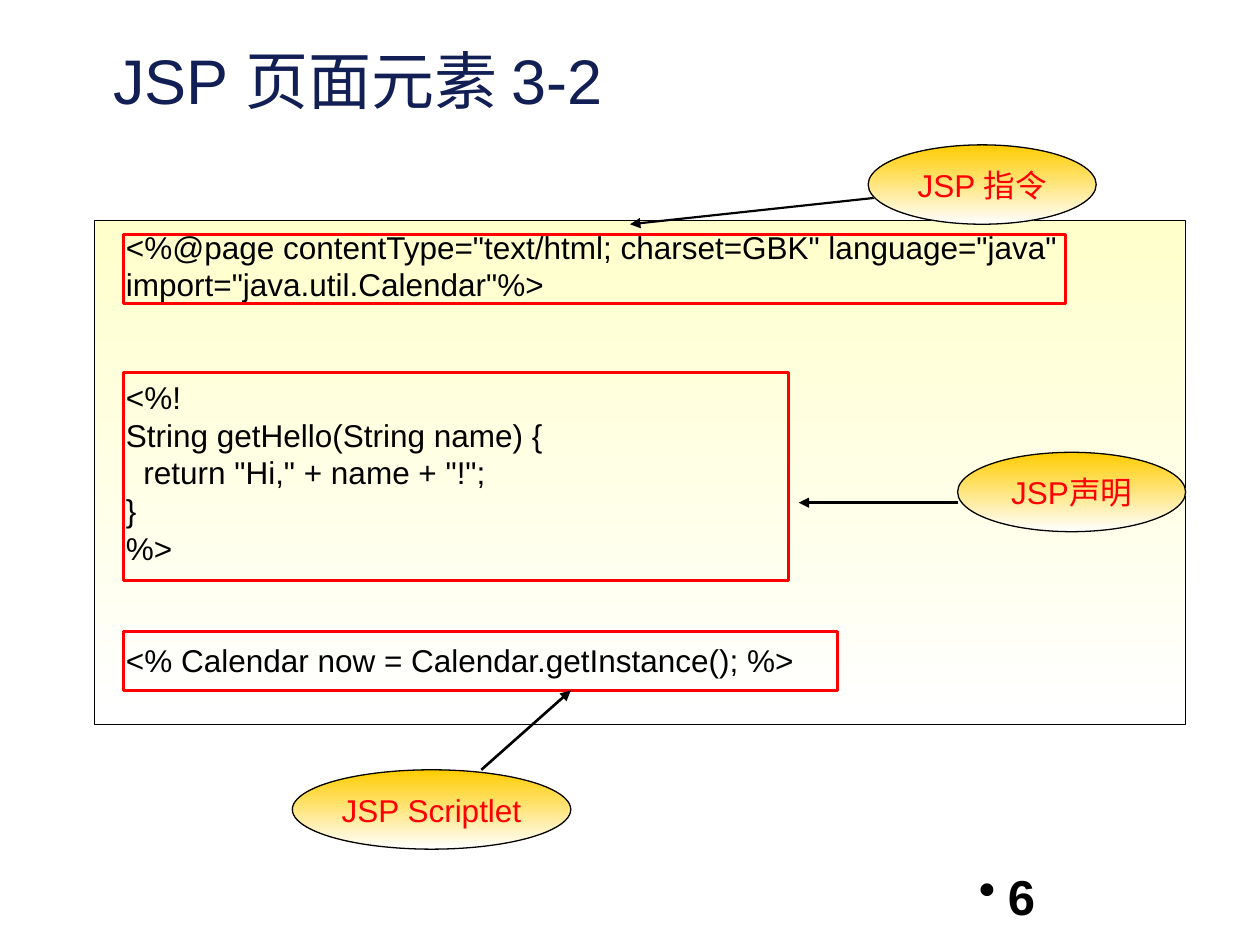
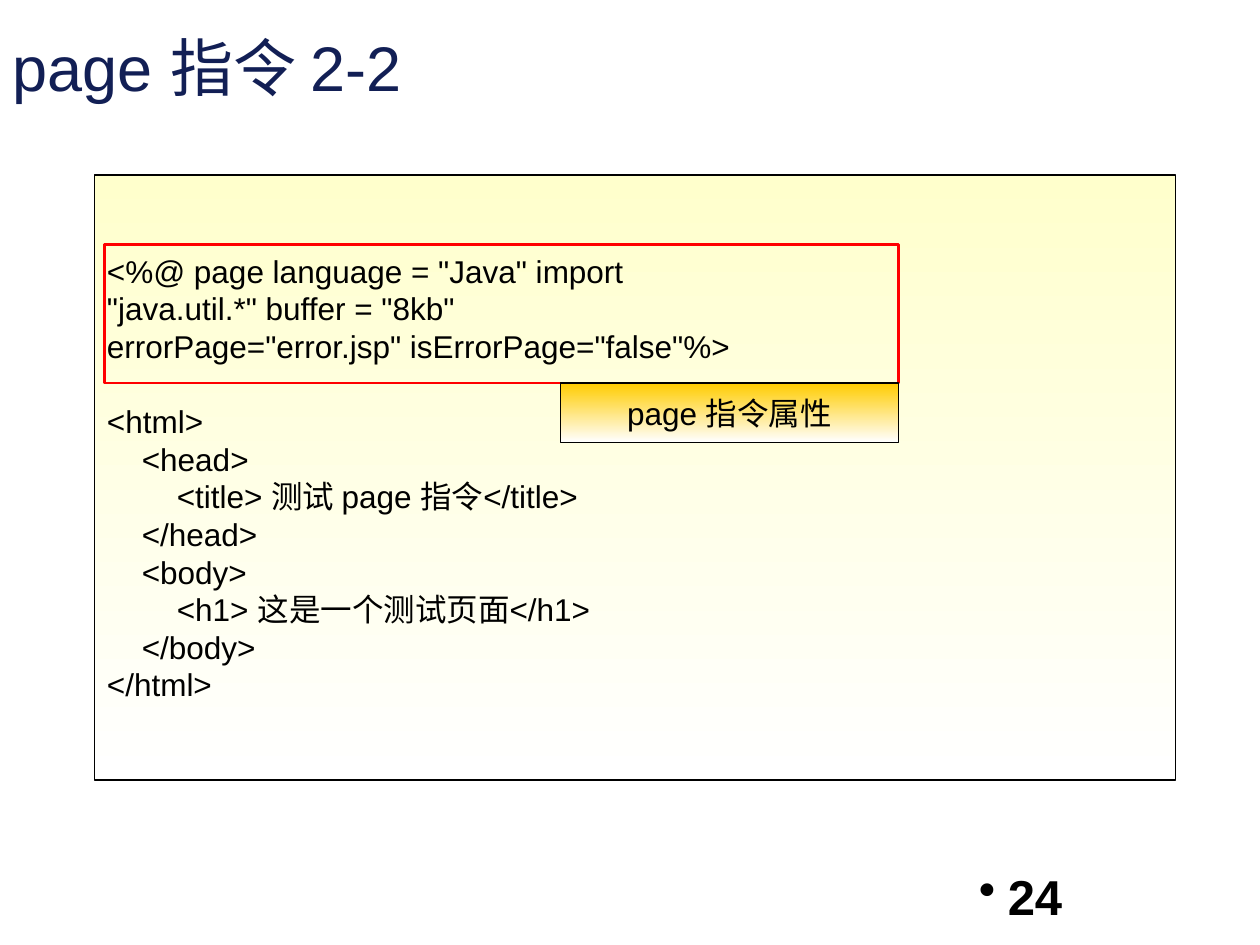
from typing import NamedTuple

from lxml.etree import SubElement
from pptx import Presentation
from pptx.dml.color import RGBColor
from pptx.enum.shapes import MSO_CONNECTOR, MSO_SHAPE
from pptx.enum.text import MSO_ANCHOR, PP_ALIGN
from pptx.oxml.ns import qn
from pptx.util import Pt

PX = 9144  # 100 px to the inch
FONT = "Arial"
PITCH = 21.5  # line pitch of code, in points
COLORS = {
    "navy": "121F55",
    "black": "000000",
    "red": "FF0000",
    "cream": "FFFFCC",
    "gold": "FFCC00",
    "white": "FFFFFF",
}


class Box(NamedTuple):
    x: int
    y: int
    w: int
    h: int


class Label(NamedTuple):
    text: str
    box: Box
    kind: MSO_SHAPE = MSO_SHAPE.OVAL
    color: str = "red"


class Arrow(NamedTuple):
    x1: int
    y1: int
    x2: int
    y2: int
    width: float = 1.5


class Code(NamedTuple):
    """One line of code, with the number of empty lines below it."""
    text: str
    gap: int = 0


def tint(name: str) -> RGBColor:
    return RGBColor.from_string(COLORS[name])


def emu(*sizes: int) -> list[int]:
    return [size * PX for size in sizes]


def write(shape, lines: list[Code], *, size: int = 18, color: str = "black",
          bold: bool = False, align=PP_ALIGN.LEFT, anchor=MSO_ANCHOR.MIDDLE,
          pad: tuple = (10, 5, 10, 5), wrap: bool = True,
          pitch: float = 0, bullet: bool = False) -> None:
    frame = shape.text_frame
    frame.word_wrap = wrap
    frame.vertical_anchor = anchor
    (frame.margin_left, frame.margin_top,
     frame.margin_right, frame.margin_bottom) = emu(*pad)
    for index, line in enumerate(lines):
        para = frame.add_paragraph() if index else frame.paragraphs[0]
        para.alignment = align
        if pitch:
            para.line_spacing = Pt(pitch)
            para.space_after = Pt(pitch * line.gap)
        if bullet:
            props = para._p.get_or_add_pPr()
            props.set("marL", str(23 * PX))
            props.set("indent", str(-23 * PX))
            SubElement(props, qn("a:buChar")).set("char", "•")
        run = para.add_run()
        run.text = line.text
        font = run.font
        font.name, font.size, font.bold = FONT, Pt(size), bold
        font.color.rgb = tint(color)


def draw(slide, kind: MSO_SHAPE, box: Box, *, line: str = "black",
         width: float = 0.75, fill: str = ""):
    """Add a shape that is hollow or fades from fill down to white."""
    shape = slide.shapes.add_shape(kind, *emu(*box))
    shape.shadow.inherit = False
    shape.line.color.rgb = tint(line)
    shape.line.width = Pt(width)
    if fill:
        shape.fill.gradient()
        shape.fill.gradient_angle = 270
        for stop, name, spot in zip(shape.fill.gradient_stops, (fill, "white"), (0, 1)):
            stop.color.rgb = tint(name)
            stop.position = spot
    else:
        shape.fill.background()
    return shape


def mark(slide, box: Box, width: float) -> None:
    draw(slide, MSO_SHAPE.RECTANGLE, box, line="red", width=width)


def tag(slide, label: Label) -> None:
    shape = draw(slide, label.kind, label.box, fill="gold")
    write(shape, [Code(label.text)], color=label.color,
          align=PP_ALIGN.CENTER, wrap=False)


def point(slide, arrow: Arrow) -> None:
    line = slide.shapes.add_connector(MSO_CONNECTOR.STRAIGHT, *emu(*arrow[:4]))
    line.line.color.rgb = tint("black")
    line.line.width = Pt(arrow.width)
    SubElement(line.line._get_or_add_ln(), qn("a:tailEnd")).set("type", "triangle")
    SubElement(line._element.spPr, qn("a:effectLst"))


def panel(slide, box: Box, lines: list[Code], width: float, pad: tuple) -> None:
    shape = draw(slide, MSO_SHAPE.RECTANGLE, box, width=width, fill="cream")
    write(shape, lines, pitch=PITCH, pad=pad)


def start(deck, title: str, box: Box, anchor: MSO_ANCHOR, number: int):
    """Add a slide with its title and page number."""
    slide = deck.slides.add_slide(deck.slide_layouts[6])
    write(slide.shapes.add_textbox(*emu(*box)), [Code(title)],
          size=36, color="navy", anchor=anchor)
    write(slide.shapes.add_textbox(*emu(767, 683, 233, 50)), [Code(str(number))],
          size=28, bold=True, anchor=MSO_ANCHOR.TOP, bullet=True)
    return slide


def parts(deck) -> None:
    slide = start(deck, "JSP 页面元素 3-2", Box(80, 28, 900, 87), MSO_ANCHOR.TOP, 6)
    lines = [
        Code('<%@page contentType="text/html; charset=GBK" language="java" '
             'import="java.util.Calendar"%>', 2),
        Code("<%!"),
        Code("String getHello(String name) {"),
        Code('  return "Hi," + name + "!";'),
        Code("}"),
        Code("%>", 2),
        Code("<% Calendar now = Calendar.getInstance(); %>"),
    ]
    # The deep bottom inset leaves one free line below the code
    panel(slide, Box(75, 175, 866, 400), lines, 1, (25, 5, 0, 35))

    # Frames around each kind of element
    for y, w, h in ((186, 748, 55), (296, 528, 165), (501, 567, 47)):
        mark(slide, Box(98, y, w, h), 1.75)

    # Callouts
    for arrow in (Arrow(713, 155, 500, 178, 1.25),
                  Arrow(760, 399, 634, 399),
                  Arrow(382, 611, 453, 548)):
        point(slide, arrow)
    for label in (Label("JSP声明", Box(760, 359, 181, 63)),
                  Label("JSP Scriptlet", Box(232, 611, 221, 63)),
                  Label("JSP 指令", Box(689, 115, 181, 63))):
        tag(slide, label)


def page(deck) -> None:
    slide = start(deck, "page 指令 2-2", Box(0, 13, 1000, 79), MSO_ANCHOR.MIDDLE, 24)
    lines = [
        Code('<%@ page language = "Java" import'),
        Code('"java.util.*" buffer = "8kb"'),
        Code('errorPage="error.jsp" isErrorPage="false"%>', 1),
        Code("<html>"),
        Code("    <head>"),
        Code("        <title> 测试 page 指令</title>"),
        Code("    </head>"),
        Code("    <body>"),
        Code("        <h1> 这是一个测试页面</h1>"),
        Code("    </body>"),
        Code("</html>"),
    ]
    panel(slide, Box(75, 139, 858, 480), lines, 0.75, (10, 5, 10, 5))

    # Framed directive and its label
    mark(slide, Box(83, 194, 630, 110), 1.5)
    tag(slide, Label("page 指令属性", Box(445, 304, 268, 47),
                     MSO_SHAPE.RECTANGLE, "black"))


def main() -> None:
    deck = Presentation()
    deck.slide_width, deck.slide_height = emu(1000, 750)
    parts(deck)
    page(deck)
    deck.save("out.pptx")


if __name__ == "__main__":
    main()
